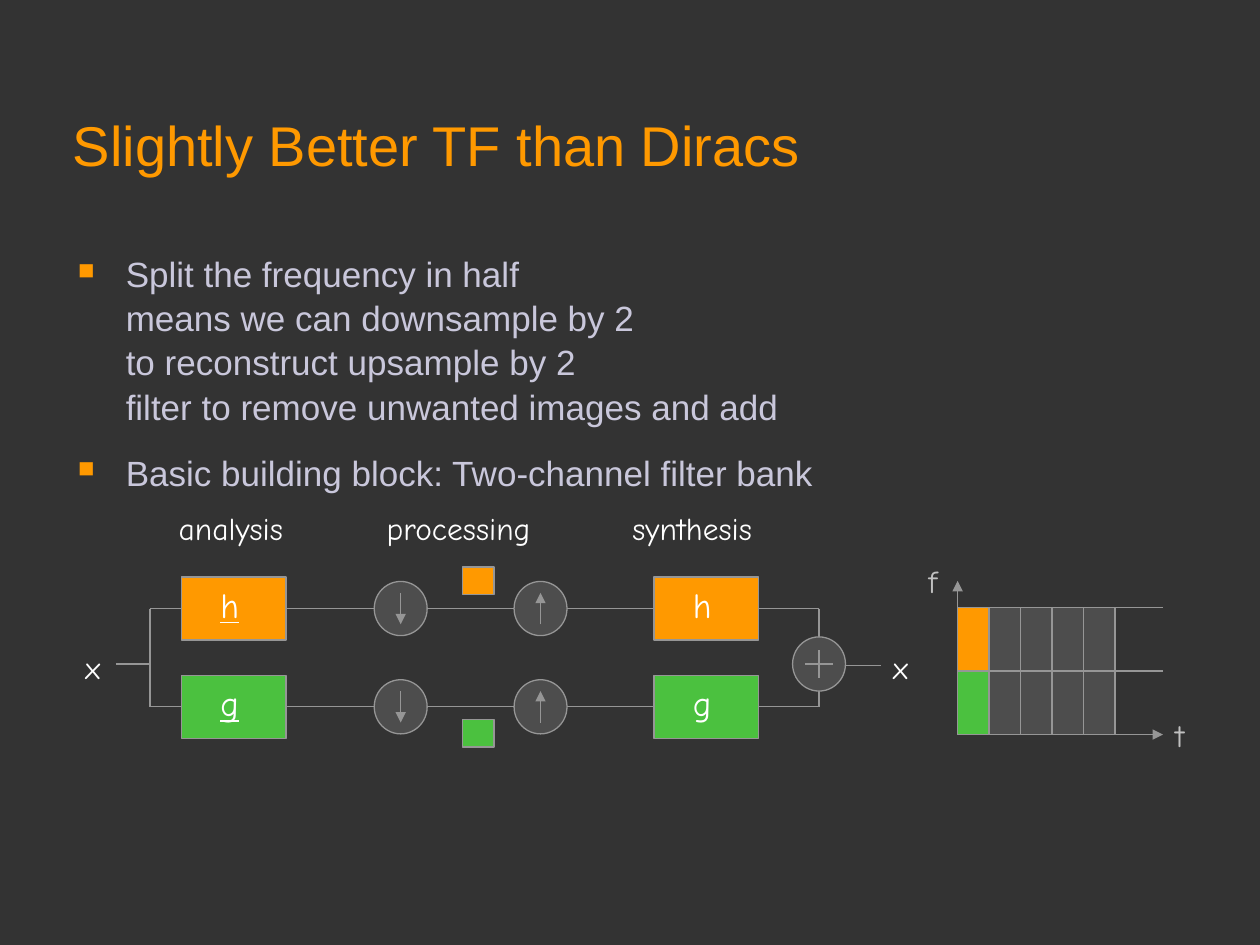
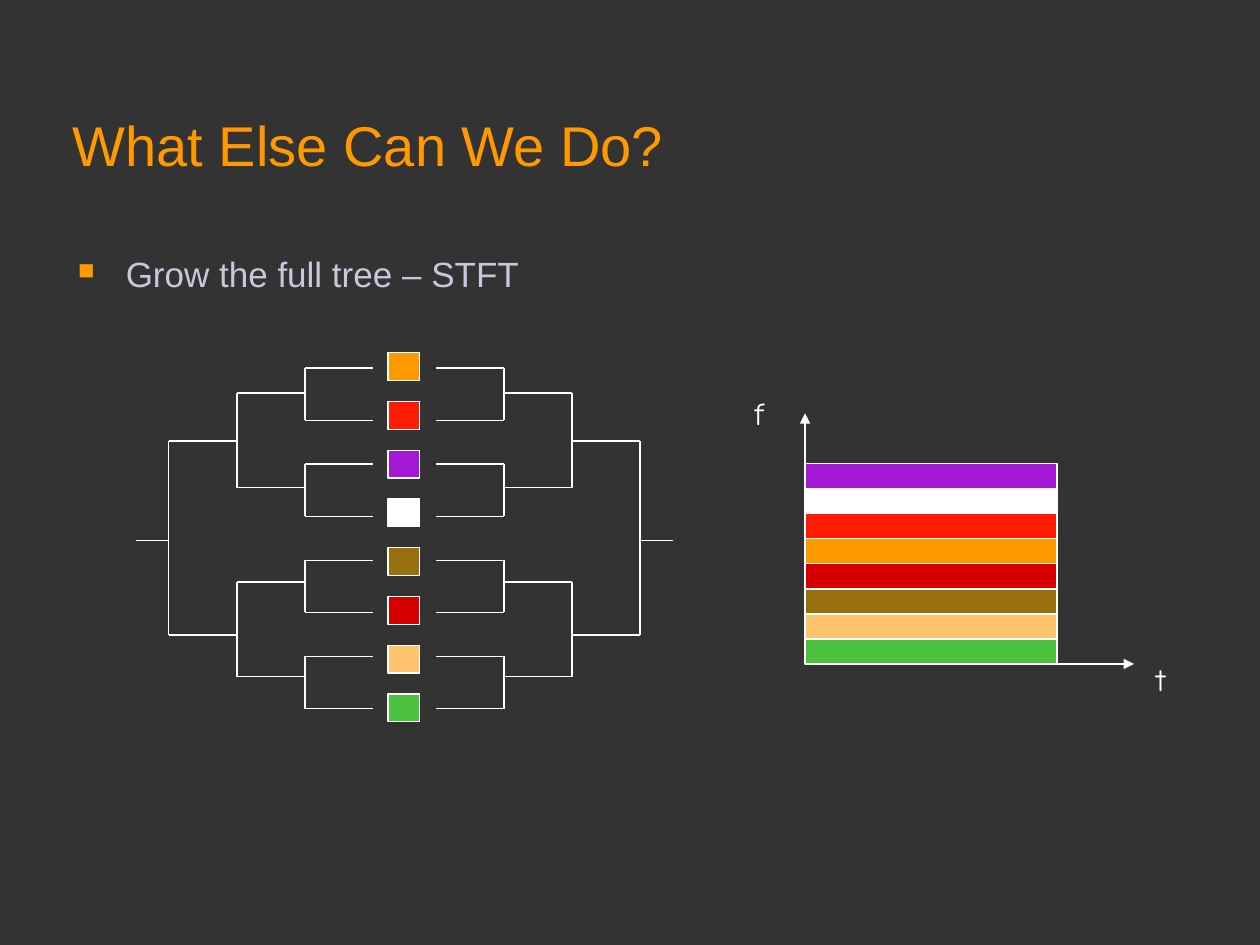
from pptx import Presentation
from pptx.dml.color import RGBColor
from pptx.enum.shapes import MSO_CONNECTOR, MSO_SHAPE
from pptx.enum.text import MSO_ANCHOR
from pptx.oxml.ns import qn
from pptx.util import Inches, Pt
from lxml.etree import SubElement

BACK, ORANGE, LAVENDER, WHITE = "333333", "FF9900", "C9C7DB", "FFFFFF"
GRAY, SILVER, DARK, GREEN = "969696", "C0C0C0", "4D4D4D", "4BC13F"
RED, PURPLE, BROWN, CRIMSON, PEACH = "FD1B03", "A318D4", "97700D", "D60000", "FFC46D"

BANK_TITLE = "Slightly Better TF than Diracs"
BANK_BULLETS = [
    "Split the frequency in half\vmeans we can downsample by 2\v"
    "to reconstruct upsample by 2\vfilter to remove unwanted images and add",
    "Basic building block: Two-channel filter bank",
]
CHANNELS = [("h", ORANGE, 4.83, 4.5), ("g", GREEN, 5.61, 5.71)]
STAGES = [("analysis", 1.32, 1.18), ("processing", 2.97, 1.53), ("synthesis", 4.92, 1.38)]
SIGNALS = [("x", 0.58, 5.09, WHITE), ("x", 6.99, 5.09, WHITE),
           ("t", 9.23, 5.63, SILVER), ("f", 7.27, 4.41, SILVER)]
SPLIT_X, SUM_X, MID_Y = 1.19, 6.5, 5.27
FILTER_X, FILTER_W, FILTER_H = (1.44, 5.19), 0.83, 0.5
DOWN_X, UP_X, CIRCLE_W, CIRCLE_H = 3.18, 4.29, 0.42, 0.43
GRID_X, GRID_Y, GRID_END, CELL_W, CELL_H, COLUMNS = 7.6, 4.82, 9.23, 0.25, 0.505, 5

TREE_TITLE = "What Else Can We Do?"
TREE_BULLETS = ["Grow the full tree – STFT"]
LEAVES = [ORANGE, RED, PURPLE, WHITE, BROWN, CRIMSON, PEACH, GREEN]
BANDS = [PURPLE, WHITE, RED, ORANGE, CRIMSON, BROWN, PEACH, GREEN]
FORKS = [(1, 1.34, 3.5, 1.54, 0), (2, 1.88, 3.12, 0.75, 1.5), (4, 2.42, 2.92, 0.415, 0.763)]
BRANCH, ROOT_X, ROOT_Y, ROOT_LEN, MIRROR_X = 0.54, 1.34, 4.29, 0.26, 3.21
LEAF_X, LEAF_Y, LEAF_STEP, LEAF_W, LEAF_H = 3.08, 2.8, 0.387, 0.25, 0.22
AXIS_X, AXIS_Y, BAND_Y, BAND_W = 6.39, 5.27, 3.68, 2


def rgb(color):
    return RGBColor.from_string(color)


def style(p, size, font, color, underline=False):
    for r in p.runs:
        r.font.size, r.font.name = Pt(size), font
        r.font.color.rgb = rgb(color)
        r.font.underline = underline


def text_box(slide, x, y, w, h):
    tf = slide.shapes.add_textbox(*map(Inches, (x, y, w, h))).text_frame
    tf.word_wrap = True
    return tf


def label(slide, text, x, y, w=0.33, color=WHITE, size=18, underline=False):
    tf = text_box(slide, x, y, w, 0.4)
    tf.text = text
    style(tf.paragraphs[0], size, "Comic Neue", color, underline)


def shape(slide, kind, x, y, w, h, fill, edge):
    sp = slide.shapes.add_shape(kind, *map(Inches, (x, y, w, h)))
    sp.shadow.inherit = False
    sp.fill.solid()
    sp.fill.fore_color.rgb = rgb(fill)
    sp.line.color.rgb = rgb(edge)
    sp.line.width = Pt(0.75)
    return sp


def rect(slide, x, y, w, h, fill, edge):
    return shape(slide, MSO_SHAPE.RECTANGLE, x, y, w, h, fill, edge)


def circle(slide, x, y):
    shape(slide, MSO_SHAPE.OVAL, x - CIRCLE_W / 2, y - CIRCLE_H / 2,
          CIRCLE_W, CIRCLE_H, DARK, GRAY)


def line(slide, x1, y1, x2, y2, color, arrow=False, start=None, end=None):
    cxn = slide.shapes.add_connector(MSO_CONNECTOR.STRAIGHT, *map(Inches, (x1, y1, x2, y2)))
    cxn.line.color.rgb = rgb(color)
    cxn.line.width = Pt(0.75)
    if arrow:
        SubElement(cxn.line._get_or_add_ln(), qn("a:tailEnd"), type="triangle")
    SubElement(cxn._element.spPr, qn("a:effectLst"))
    if start is not None:
        cxn.begin_connect(start, 3)
    if end is not None:
        cxn.end_connect(end, 1)


def add_bullet(p):
    pPr = p._p.get_or_add_pPr()
    pPr.set("marL", str(Inches(0.38)))
    pPr.set("indent", str(-Inches(0.38)))
    SubElement(SubElement(pPr, qn("a:buClr")), qn("a:srgbClr"), val=ORANGE)
    SubElement(pPr, qn("a:buSzPct"), val="65000")
    SubElement(pPr, qn("a:buChar"), char="■")


def new_slide(prs, title, bullets):
    slide = prs.slides.add_slide(prs.slide_layouts[6])
    slide.background.fill.solid()
    slide.background.fill.fore_color.rgb = rgb(BACK)
    tf = text_box(slide, 0.48, 0.79, 8.19, 0.7)
    tf.vertical_anchor = MSO_ANCHOR.MIDDLE
    tf.text = title
    style(tf.paragraphs[0], 32, "Arial", ORANGE)
    tf = text_box(slide, 0.52, 1.94, 8.2, 4.72)
    for i, bullet in enumerate(bullets):
        p = tf.add_paragraph() if i else tf.paragraphs[0]
        p.text = bullet
        add_bullet(p)
        p.line_spacing = 1.05
        p.space_before = Pt(12.5 if i else 0)
        style(p, 20, "Arial", LAVENDER)
    return slide


def draw_channel(slide, name, color, y, band_y):
    top = y - FILTER_H / 2
    analysis, synthesis = [rect(slide, x, top, FILTER_W, FILTER_H, color, GRAY)
                           for x in FILTER_X]
    for x, underline in zip(FILTER_X, (True, False)):
        label(slide, name, x + 0.21, top, 0.42, size=20, underline=underline)
    r = CIRCLE_W / 2
    line(slide, SPLIT_X, y, FILTER_X[0], y, GRAY, end=analysis)
    line(slide, FILTER_X[0] + FILTER_W, y, DOWN_X - r, y, GRAY, start=analysis)
    line(slide, DOWN_X + r, y, UP_X - r, y, GRAY)
    line(slide, UP_X + r, y, FILTER_X[1], y, GRAY, end=synthesis)
    line(slide, FILTER_X[1] + FILTER_W, y, SUM_X, y, GRAY, start=synthesis)
    for x, reach in ((DOWN_X, 0.125), (UP_X, -0.125)):
        circle(slide, x, y)
        line(slide, x, y - reach, x, y + reach, GRAY, arrow=True)
    rect(slide, 3.67, band_y, LEAF_W, LEAF_H, color, GRAY)


def draw_bank(slide):
    top, bottom = [channel[2] for channel in CHANNELS]
    for x in (SPLIT_X, SUM_X):
        line(slide, x, top, x, bottom, GRAY)
    for channel in CHANNELS:
        draw_channel(slide, *channel)
    circle(slide, SUM_X, MID_Y)
    line(slide, SUM_X, MID_Y - 0.11, SUM_X, MID_Y + 0.11, GRAY)
    line(slide, SUM_X - 0.11, MID_Y, SUM_X + 0.11, MID_Y, GRAY)
    line(slide, 0.92, MID_Y, SPLIT_X, MID_Y, GRAY)
    line(slide, SUM_X + CIRCLE_W / 2, 5.28, 6.99, 5.28, GRAY)
    for text, x, w in STAGES:
        label(slide, text, x, 3.99, w)
    for text, x, y, color in SIGNALS:
        label(slide, text, x, y, color=color)


def draw_tiling(slide):
    bottom = GRID_Y + 2 * CELL_H
    line(slide, GRID_X, bottom, GRID_X, 4.61, GRAY, arrow=True)
    line(slide, GRID_X, bottom, GRID_END, bottom, GRAY, arrow=True)
    for row, channel in enumerate(CHANNELS):
        y = GRID_Y + row * CELL_H
        for col in range(COLUMNS):
            fill = DARK if col else channel[1]
            rect(slide, GRID_X + col * CELL_W, y, CELL_W, CELL_H, fill, GRAY)
        line(slide, GRID_X, y, GRID_END, y, GRAY)


def draw_tree(slide):
    for flip in (False, True):
        def branch(x1, y1, x2, y2):
            if flip:
                x1, x2 = 2 * MIRROR_X - x1, 2 * MIRROR_X - x2
            line(slide, x1, y1, x2, y2, WHITE)

        branch(ROOT_X - ROOT_LEN, ROOT_Y, ROOT_X, ROOT_Y)
        for count, x, first, height, step in FORKS:
            for i in range(count):
                top = first + i * step
                branch(x, top + height, x, top)
                for y in (top, top + height):
                    branch(x, y, x + BRANCH, y)
    for i, color in enumerate(LEAVES):
        rect(slide, LEAF_X, LEAF_Y + i * LEAF_STEP, LEAF_W, LEAF_H, color, WHITE)


def draw_bands(slide):
    line(slide, AXIS_X, AXIS_Y, AXIS_X, 3.28, WHITE, arrow=True)
    line(slide, AXIS_X, AXIS_Y, 9, AXIS_Y, WHITE, arrow=True)
    label(slide, "t", 9.08, 5.19)
    label(slide, "f", 5.89, 3.08)
    height = (AXIS_Y - BAND_Y) / len(BANDS)
    for i, color in enumerate(BANDS):
        rect(slide, AXIS_X, BAND_Y + i * height, BAND_W, height, color, WHITE)


def main():
    """Build the two filter bank slides."""
    prs = Presentation()
    prs.slide_width, prs.slide_height = Inches(10), Inches(7.5)
    slide = new_slide(prs, BANK_TITLE, BANK_BULLETS)
    draw_tiling(slide)
    draw_bank(slide)
    slide = new_slide(prs, TREE_TITLE, TREE_BULLETS)
    draw_tree(slide)
    draw_bands(slide)
    prs.save("out.pptx")


if __name__ == "__main__":
    main()
